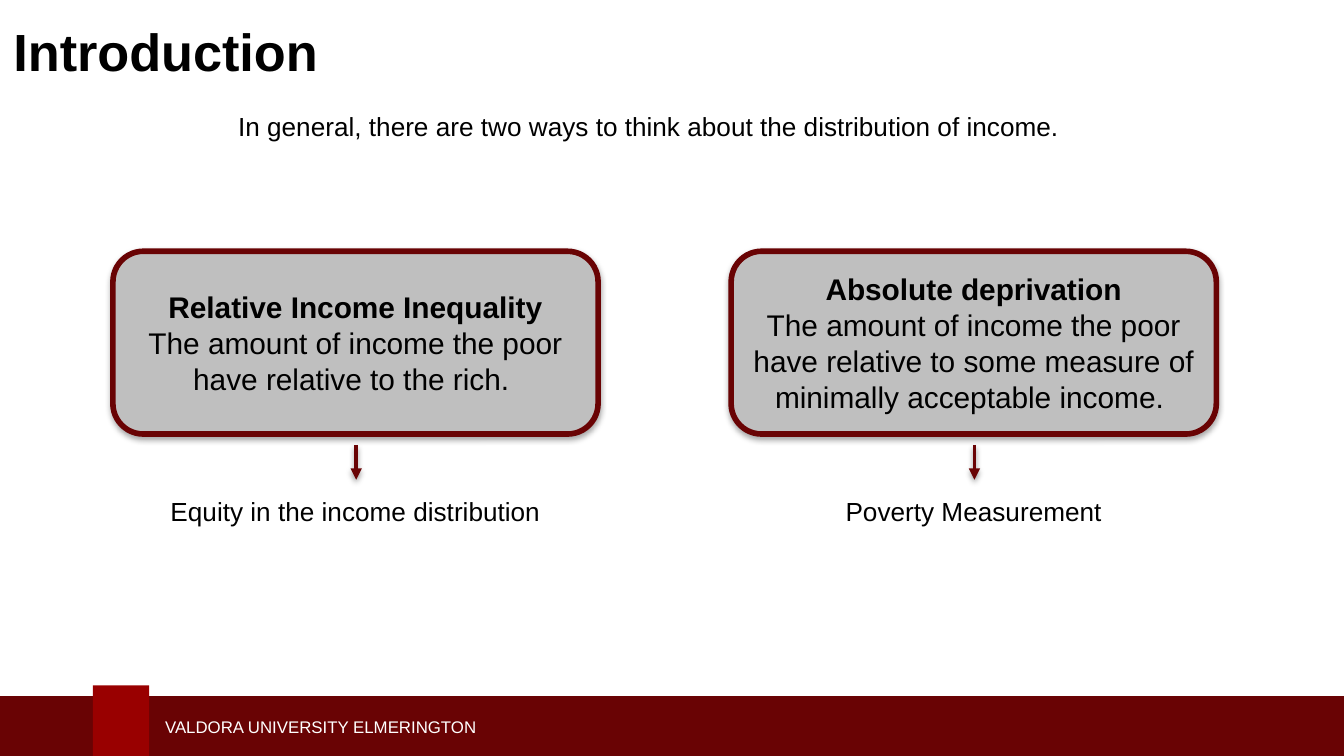
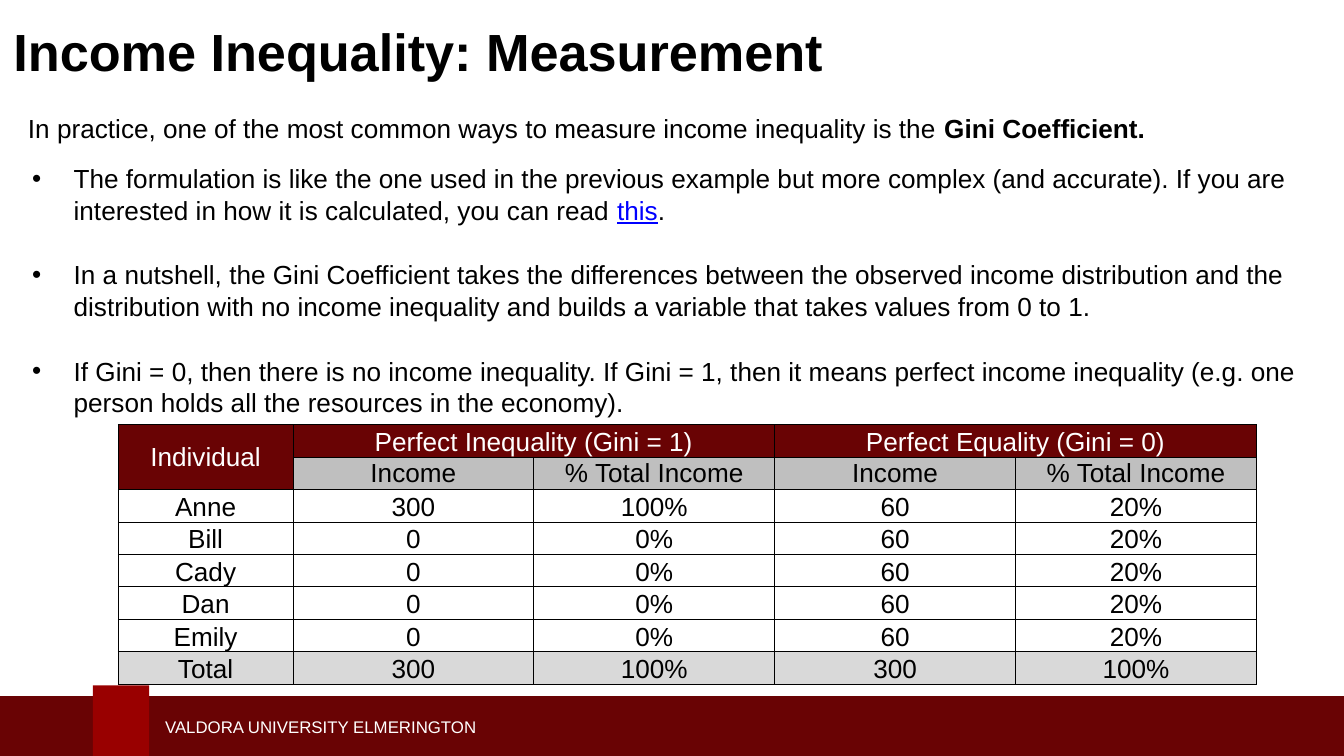
from lxml import etree
from pptx import Presentation
from pptx.dml.color import RGBColor
from pptx.enum.shapes import MSO_CONNECTOR, MSO_SHAPE
from pptx.enum.text import MSO_ANCHOR, MSO_AUTO_SIZE, PP_ALIGN
from pptx.oxml.ns import qn
from pptx.util import Inches, Pt

LEFT, CENTER = PP_ALIGN.LEFT, PP_ALIGN.CENTER
TOP, MIDDLE, BOTTOM = MSO_ANCHOR.TOP, MSO_ANCHOR.MIDDLE, MSO_ANCHOR.BOTTOM
NO_AUTOFIT = MSO_AUTO_SIZE.NONE
RECTANGLE, ROUNDED = MSO_SHAPE.RECTANGLE, MSO_SHAPE.ROUNDED_RECTANGLE
STRAIGHT = MSO_CONNECTOR.STRAIGHT

CRIMSON = RGBColor(0x69, 0x03, 0x04)
RED = RGBColor(0x99, 0x00, 0x00)
BLACK = RGBColor(0x00, 0x00, 0x00)
WHITE = RGBColor(0xFF, 0xFF, 0xFF)
GRAY = RGBColor(0xBF, 0xBF, 0xBF)
LIGHT_GRAY = RGBColor(0xD9, 0xD9, 0xD9)
LINK_BLUE = RGBColor(0x00, 0x00, 0xFF)
FONT = "Arial"


def write(frame, *paragraphs, size=14, color=BLACK, bold=False, align=LEFT,
          anchor=TOP, before=0, after=0, bullet=None):
    frame.word_wrap = True
    frame.vertical_anchor = anchor
    for index, runs in enumerate(paragraphs):
        paragraph = frame.paragraphs[0] if index == 0 else frame.add_paragraph()
        paragraph.alignment = align
        paragraph.space_before, paragraph.space_after = Pt(before), Pt(after)
        if bullet:
            properties = paragraph._p.get_or_add_pPr()
            properties.set("marL", str(Inches(0.31)))
            properties.set("indent", str(Inches(-0.31)))
            etree.SubElement(properties, qn("a:buFont"), typeface=FONT)
            etree.SubElement(properties, qn("a:buChar"), char=bullet)
        for words, style in [(runs, {})] if isinstance(runs, str) else runs:
            run = paragraph.add_run()
            run.text = words
            run.font.name, run.font.size = FONT, Pt(size)
            run.font.bold = style.get("bold", bold)
            run.font.underline = style.get("underline", False)
            run.font.color.rgb = style.get("color", color)


def cast_shadow(properties, distance, opacity):
    effects = etree.SubElement(properties, qn("a:effectLst"))
    shadow = etree.SubElement(effects, qn("a:outerShdw"), blurRad=str(Pt(3.1)),
                              dist=str(Pt(distance)), dir="5400000", rotWithShape="0")
    tint = etree.SubElement(shadow, qn("a:srgbClr"), val=str(BLACK))
    etree.SubElement(tint, qn("a:alpha"), val=str(opacity * 1000))


deck = Presentation()
deck.slide_width = Inches(10)
deck.slide_height = deck.slide_width * 9 // 16

slides = []
for heading in ("Introduction", "Income Inequality: Measurement"):
    slide = deck.slides.add_slide(deck.slide_layouts[5])
    slides.append(slide)
    title = slide.shapes.title
    title.left, title.top, title.width, title.height = 0, 0, Inches(10), Inches(0.76)
    title.text_frame.auto_size = NO_AUTOFIT
    write(title.text_frame, heading, size=28, bold=True, anchor=MIDDLE)
    for left, top, width, height, color in ((-0.03, 5.18, 10.09, 0.5, CRIMSON),
                                            (0.69, 5.1, 0.42, 0.58, RED)):
        band = slide.shapes.add_shape(RECTANGLE, Inches(left), Inches(top),
                                      Inches(width), Inches(height))
        band.shadow.inherit = False
        band.fill.solid()
        band.fill.fore_color.rgb = color
        band.line.fill.background()
    footer = slide.shapes.add_textbox(Inches(1.13), Inches(5.28), Inches(3.95), Inches(0.25))
    write(footer.text_frame, "VALDORA UNIVERSITY ELMERINGTON", size=9, color=WHITE, anchor=MIDDLE)

introduction, measurement = slides

lead = introduction.shapes.add_textbox(Inches(0.11), Inches(0.77), Inches(9.49), Inches(0.34))
write(lead.text_frame, "In general, there are two ways to think about the distribution of income. ",
      align=CENTER, before=12, after=6)

approaches = (
    (2.65, "Relative Income Inequality",
     "The amount of income the poor have relative to the rich. ",
     "Equity in the income distribution"),
    (7.25, "Absolute deprivation",
     "The amount of income the poor have relative to some measure of minimally acceptable income. ",
     "Poverty Measurement"),
)
for middle, concept, definition, purpose in approaches:
    card = introduction.shapes.add_shape(ROUNDED, Inches(middle - 1.81), Inches(1.87),
                                         Inches(3.61), Inches(1.36))
    card.fill.solid()
    card.fill.fore_color.rgb = GRAY
    card.line.color.rgb = CRIMSON
    card.line.width = Pt(3)
    cast_shadow(card._element.spPr, 1.8, 35)
    write(card.text_frame, [(concept, {"bold": True})], definition,
          size=16, align=CENTER, anchor=MIDDLE)

    outcome = introduction.shapes.add_textbox(Inches(middle - 1.61), Inches(3.64),
                                              Inches(3.21), Inches(0.34))
    write(outcome.text_frame, purpose, align=CENTER, before=12, after=6)

    arrow = introduction.shapes.add_connector(STRAIGHT, Inches(middle), Inches(3.31),
                                              Inches(middle), Inches(3.57))
    arrow.line.color.rgb = CRIMSON
    arrow.line.width = Pt(2)
    etree.SubElement(arrow.line._get_or_add_ln(), qn("a:tailEnd"), type="triangle")
    cast_shadow(arrow._element.spPr, 1.6, 38)

practice = measurement.shapes.add_textbox(Inches(0.11), Inches(0.79), Inches(9.49), Inches(0.34))
write(practice.text_frame,
      [("In practice, one of the most common ways to measure income inequality is the ", {}),
       ("Gini Coefficient.", {"bold": True})], before=12, after=6)

explanation = measurement.shapes.add_textbox(Inches(0.14), Inches(1.16), Inches(9.73), Inches(2.02))
write(explanation.text_frame,
      [("The formulation is like the one used in the previous example but more complex "
        "(and accurate). If you are interested in how it is calculated, you can read ", {}),
       ("this", {"color": LINK_BLUE, "underline": True}), (".", {})],
      "In a nutshell, the Gini Coefficient takes the differences between the observed income "
      "distribution and the distribution with no income inequality and builds a variable that "
      "takes values from 0 to 1.",
      "If Gini = 0, then there is no income inequality. If Gini = 1, then it means perfect income "
      "inequality (e.g. one person holds all the resources in the economy).",
      before=12, after=6, bullet="•")

gini_rows = [
    ("Individual", "Perfect Inequality (Gini = 1)", "", "Perfect Equality (Gini = 0)", ""),
    ("", "Income", "% Total Income", "Income", "% Total Income"),
    ("Anne", "300", "100%", "60", "20%"),
    *((name, "0", "0%", "60", "20%") for name in ("Bill", "Cady", "Dan", "Emily")),
    ("Total", "300", "100%", "300", "100%"),
]
last = len(gini_rows) - 1
frame = measurement.shapes.add_table(len(gini_rows), 5, Inches(0.88), Inches(3.16),
                                     Inches(8.47), Inches(1.92))
gini = frame.table
gini.first_row = gini.horz_banding = False
for index, column in enumerate(gini.columns):
    column.width = Inches(1.3 if index == 0 else (8.47 - 1.3) / 4)

for r, values in enumerate(gini_rows):
    gini.rows[r].height = Inches(0.1)
    for c, value in enumerate(values):
        cell = gini.cell(r, c)
        header = r == 0 or (r == 1 and c == 0)
        fill = CRIMSON if header else GRAY if r == 1 else LIGHT_GRAY if r == last else None
        if fill is None:
            cell.fill.background()
        else:
            cell.fill.solid()
            cell.fill.fore_color.rgb = fill
        cell.margin_left = cell.margin_right = cell.margin_top = Pt(0.56)
        cell.margin_bottom = 0
        if value:
            write(cell.text_frame, value, color=WHITE if header else BLACK, align=CENTER)
        cell.vertical_anchor = MIDDLE if r == 1 or c == r == 0 else BOTTOM
        for position, side in enumerate(("a:lnL", "a:lnR", "a:lnT", "a:lnB")):
            border = etree.Element(qn(side), w=str(Pt(0.5)))
            stroke = etree.SubElement(border, qn("a:solidFill"))
            etree.SubElement(stroke, qn("a:srgbClr"), val=str(BLACK))
            cell._tc.get_or_add_tcPr().insert(position, border)

gini.cell(0, 0).merge(gini.cell(1, 0))
gini.cell(0, 1).merge(gini.cell(0, 2))
gini.cell(0, 3).merge(gini.cell(0, 4))
frame.height = Inches(1.92)

deck.save("out.pptx")
